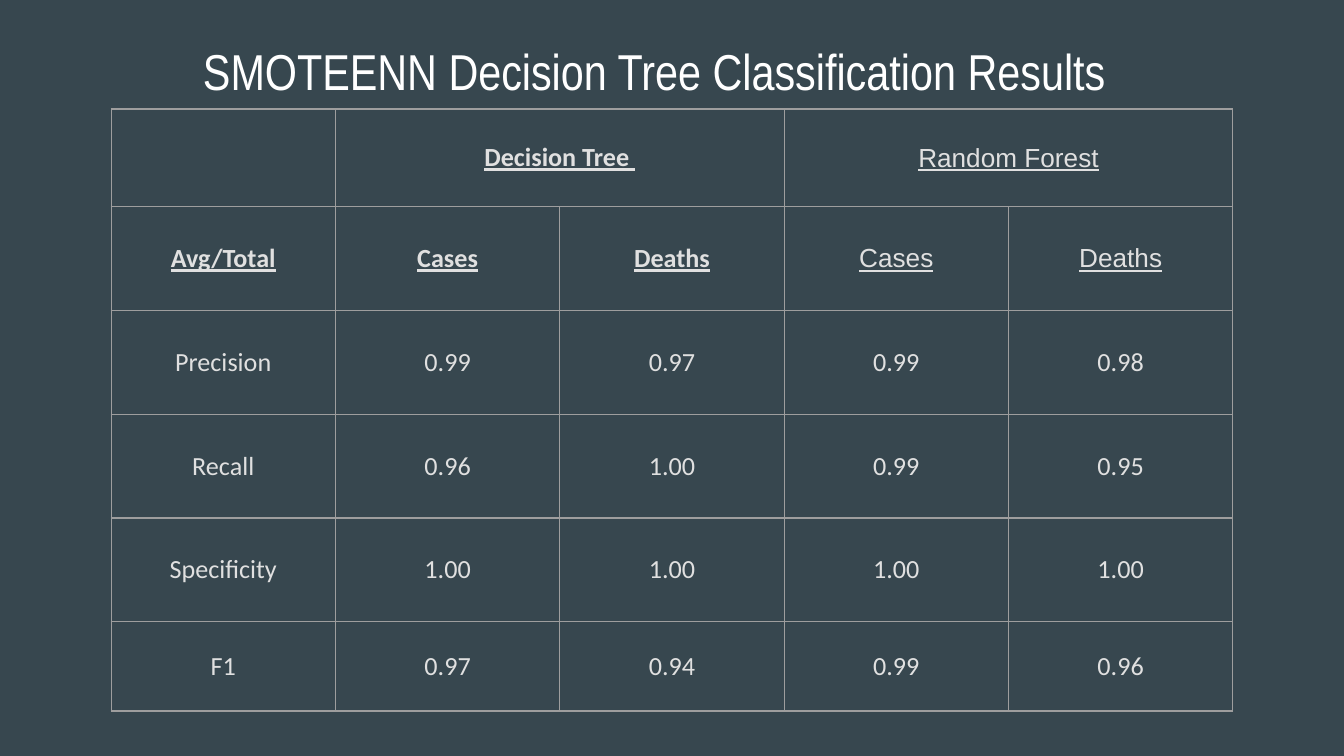
"""Build a slide with a table of SMOTEENN classification results."""
import dataclasses

import lxml.etree
import pptx
import pptx.dml.color
import pptx.enum.text
import pptx.oxml.ns
import pptx.util

Cm = pptx.util.Cm
Pt = pptx.util.Pt


@dataclasses.dataclass(frozen=True)
class Theme:
    background: str = "37474F"
    title_color: str = "FFFFFF"
    body_color: str = "E0E0E0"
    border_color: str = "9E9E9E"
    title_size: float = 27
    body_size: float = 14
    border_width: float = 0.75
    title_font: str = "Arial Narrow"
    body_font: str = "Calibri"
    second_font: str = "Arial"
    inset: float = 0.25


def rgb(value):
    return pptx.dml.color.RGBColor.from_string(value)


def write_text(frame, text, *, font, size, color, bold=False, underline=False):
    paragraph = frame.paragraphs[0]
    paragraph.alignment = pptx.enum.text.PP_ALIGN.CENTER
    paragraph.font.size = Pt(size)
    if not text:
        return
    run = paragraph.add_run()
    run.text = text
    run.font.name = font
    run.font.size = Pt(size)
    run.font.color.rgb = rgb(color)
    run.font.bold = bold
    run.font.underline = underline


class SlideBuilder:
    def __init__(self, presentation, theme):
        self.theme = theme
        self.slide = presentation.slides.add_slide(presentation.slide_layouts[6])
        fill = self.slide.background.fill
        fill.solid()
        fill.fore_color.rgb = rgb(theme.background)

    def set_margins(self, holder):
        for side in ("left", "right", "top", "bottom"):
            setattr(holder, f"margin_{side}", Cm(self.theme.inset))

    def add_title(self, text, left, top, width, height):
        shape = self.slide.shapes.add_textbox(Cm(left), Cm(top), Cm(width), Cm(height))
        frame = shape.text_frame
        frame.word_wrap = True
        self.set_margins(frame)
        write_text(frame, text, font=self.theme.title_font,
                   size=self.theme.title_size, color=self.theme.title_color)

    def add_borders(self, cell):
        properties = cell._tc.get_or_add_tcPr()
        for position, side in enumerate(("lnL", "lnR", "lnT", "lnB")):
            line = lxml.etree.Element(pptx.oxml.ns.qn(f"a:{side}"),
                                      w=str(Pt(self.theme.border_width)))
            fill = lxml.etree.SubElement(line, pptx.oxml.ns.qn("a:solidFill"))
            lxml.etree.SubElement(fill, pptx.oxml.ns.qn("a:srgbClr"),
                                  val=self.theme.border_color)
            properties.insert(position, line)

    def add_table(self, rows, left, top, column_width, row_heights,
                  header_rows, second_group, merges):
        column_count = len(rows[0])
        table = self.slide.shapes.add_table(
            len(rows), column_count, Cm(left), Cm(top),
            Cm(column_width * column_count), Cm(sum(row_heights))).table
        for column in table.columns:
            column.width = Cm(column_width)
        for row_index, (row, height) in enumerate(zip(rows, row_heights)):
            table.rows[row_index].height = Cm(height)
            is_header = row_index < header_rows
            for column_index, text in enumerate(row):
                cell = table.cell(row_index, column_index)
                cell.fill.background()
                cell.vertical_anchor = pptx.enum.text.MSO_ANCHOR.MIDDLE
                self.set_margins(cell)
                self.add_borders(cell)
                is_second = is_header and column_index >= second_group
                write_text(cell.text_frame, text,
                           font=self.theme.second_font if is_second else self.theme.body_font,
                           size=self.theme.body_size, color=self.theme.body_color,
                           bold=is_header and not is_second, underline=is_header)
        for row_index, first, last in merges:
            table.cell(row_index, first).merge(table.cell(row_index, last))


RESULTS = [
    ["", "Decision Tree ", "", "Random Forest", ""],
    ["Avg/Total", "Cases", "Deaths", "Cases", "Deaths"],
    ["Precision", "0.99", "0.97", "0.99", "0.98"],
    ["Recall", "0.96", "1.00", "0.99", "0.95"],
    ["Specificity", "1.00", "1.00", "1.00", "1.00"],
    ["F1", "0.97", "0.94", "0.99", "0.96"],
]


def main():
    presentation = pptx.Presentation()
    presentation.slide_width = Cm(25.4)
    presentation.slide_height = Cm(14.29)
    builder = SlideBuilder(presentation, Theme())
    builder.add_title("SMOTEENN Decision Tree Classification Results ",
                      0.64, 0.5, 23.67, 1.6)
    builder.add_table(RESULTS, left=2.1, top=2.06, column_width=4.24,
                      row_heights=[1.85] + [1.96] * 4 + [1.69],
                      header_rows=2, second_group=3,
                      merges=[(0, 1, 2), (0, 3, 4)])
    presentation.save("out.pptx")


if __name__ == "__main__":
    main()
